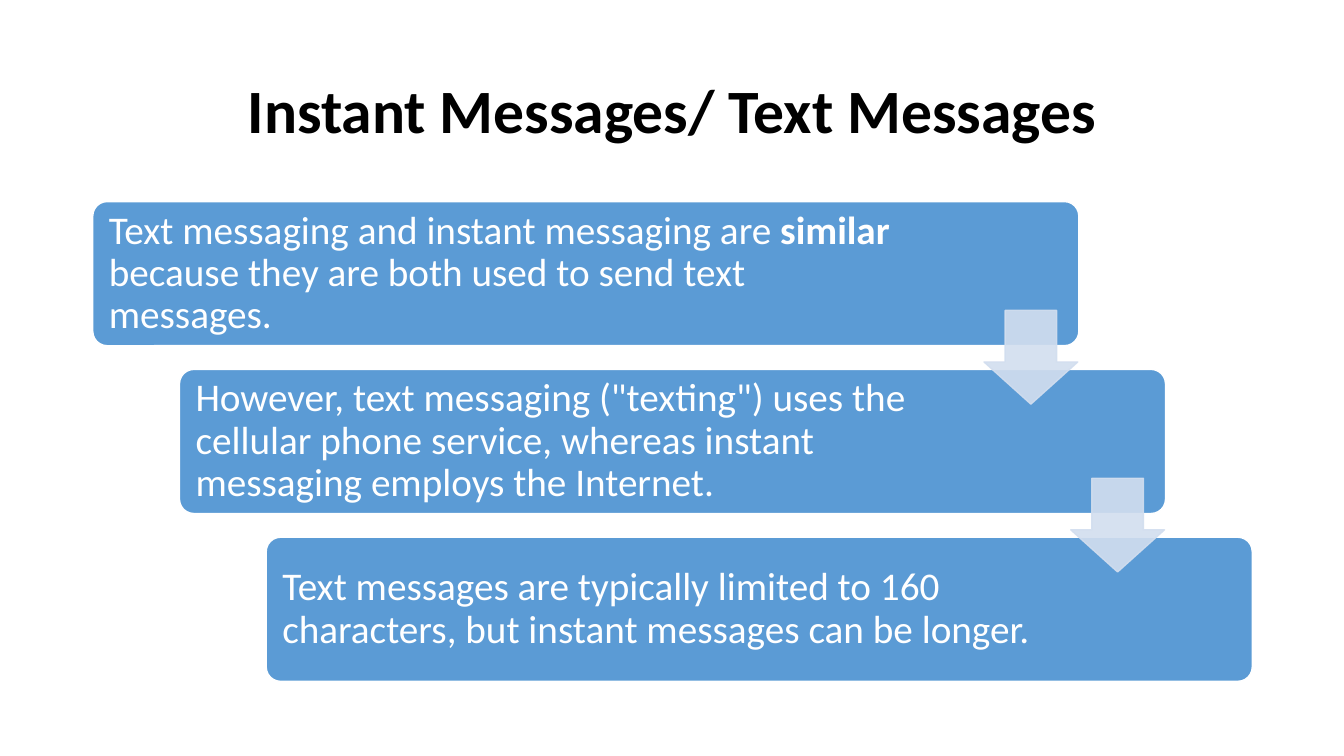
from lxml import etree
from pptx import Presentation
from pptx import util as u
from pptx.dml.color import RGBColor
from pptx.enum import shapes, text
from pptx.oxml import ns

FONT = "Calibri"
BLUE, PALE, WHITE, BLACK = "5B9BD5", "D2DEEF", "FFFFFF", "000000"

# Staircase grid, in inches
LEFT, TOP = 0.92, 2.0
STEP_X, STEP_Y = 0.86, 1.665
STEP_WIDTH, STEP_HEIGHT = 9.78, 1.43
TEXT_MARGIN = 0.04
ARROW_X, ARROW_Y, ARROW_SIZE = 8.84, 1.08, 0.93

# Each step: width of its text, then its (wording, bold) spans
STEPS = [
    (8.23, [("Text messaging and instant messaging are ", False),
            ("similar", True),
            (" because they are both used to send text messages.", False)]),
    (7.9, [('However, text messaging ("texting") uses the cellular phone '
            "service, whereas instant messaging employs the Internet.", False)]),
    (7.9, [("Text messages are typically limited to 160 characters, "
            "but instant messages can be longer.", False)]),
]


def color(value):
    return RGBColor.from_string(value)


def set_opacity(paint, percent):
    """Add an alpha value to the solid colour of a fill or line."""
    for tone in paint.iter(ns.qn("a:srgbClr")):
        etree.SubElement(tone, ns.qn("a:alpha"), val=str(percent * 1000))


def add_block(page, kind, place, fill, adjustments, opacity=100):
    block = page.shapes.add_shape(kind, *map(u.Inches, place))
    block.shadow.inherit = False
    for index, value in enumerate(adjustments):
        block.adjustments[index] = value
    block.fill.solid()
    block.fill.fore_color.rgb = color(fill)
    block.line.color.rgb = color(WHITE if opacity == 100 else fill)
    block.line.width = u.Pt(1)
    if opacity < 100:
        set_opacity(block.element.spPr, opacity)


def add_text(page, place, spans, size, ink, align, inset):
    box = page.shapes.add_textbox(*map(u.Inches, place))
    frame = box.text_frame
    frame.word_wrap = True
    frame.vertical_anchor = text.MSO_ANCHOR.MIDDLE
    frame.margin_left = frame.margin_right = u.Inches(inset)
    frame.margin_top = frame.margin_bottom = u.Inches(inset)
    para = frame.paragraphs[0]
    para.alignment = align
    para.line_spacing = 0.9
    for wording, bold in spans:
        span = para.add_run()
        span.text = wording
        span.font.name = FONT
        span.font.size = u.Pt(size)
        span.font.bold = bold
        span.font.color.rgb = color(ink)


def add_step(page, index, text_width, spans):
    left, top = LEFT + index * STEP_X, TOP + index * STEP_Y
    add_block(page, shapes.MSO_SHAPE.ROUNDED_RECTANGLE,
              (left, top, STEP_WIDTH, STEP_HEIGHT), BLUE, [0.1])
    add_text(page, (left + TEXT_MARGIN, top + TEXT_MARGIN,
                    text_width, STEP_HEIGHT - 2 * TEXT_MARGIN),
             spans, 28, WHITE, text.PP_ALIGN.LEFT, 0.12)


def add_arrow(page, index):
    place = (LEFT + ARROW_X + index * STEP_X, TOP + ARROW_Y + index * STEP_Y,
             ARROW_SIZE, ARROW_SIZE)
    add_block(page, shapes.MSO_SHAPE.DOWN_ARROW, place, PALE, [0.45, 0.55], 90)
    # The first adjustment is the head length, the second the shaft width
    arrow = page.shapes[-1]
    arrow.adjustments[0], arrow.adjustments[1] = 0.55, 0.45


def main():
    deck = Presentation()
    deck.slide_width, deck.slide_height = u.Inches(13.33), u.Inches(7.5)
    page = deck.slides.add_slide(deck.slide_layouts[6])

    # Title
    add_text(page, (LEFT, 0.4, 11.5, 1.45),
             [("Instant Messages/ Text Messages", True)],
             44, BLACK, text.PP_ALIGN.CENTER, 0.1)

    # Steps, then the arrows that lie over them
    for index, (text_width, spans) in enumerate(STEPS):
        add_step(page, index, text_width, spans)
    for index in range(len(STEPS) - 1):
        add_arrow(page, index)

    deck.save("out.pptx")


if __name__ == "__main__":
    main()
